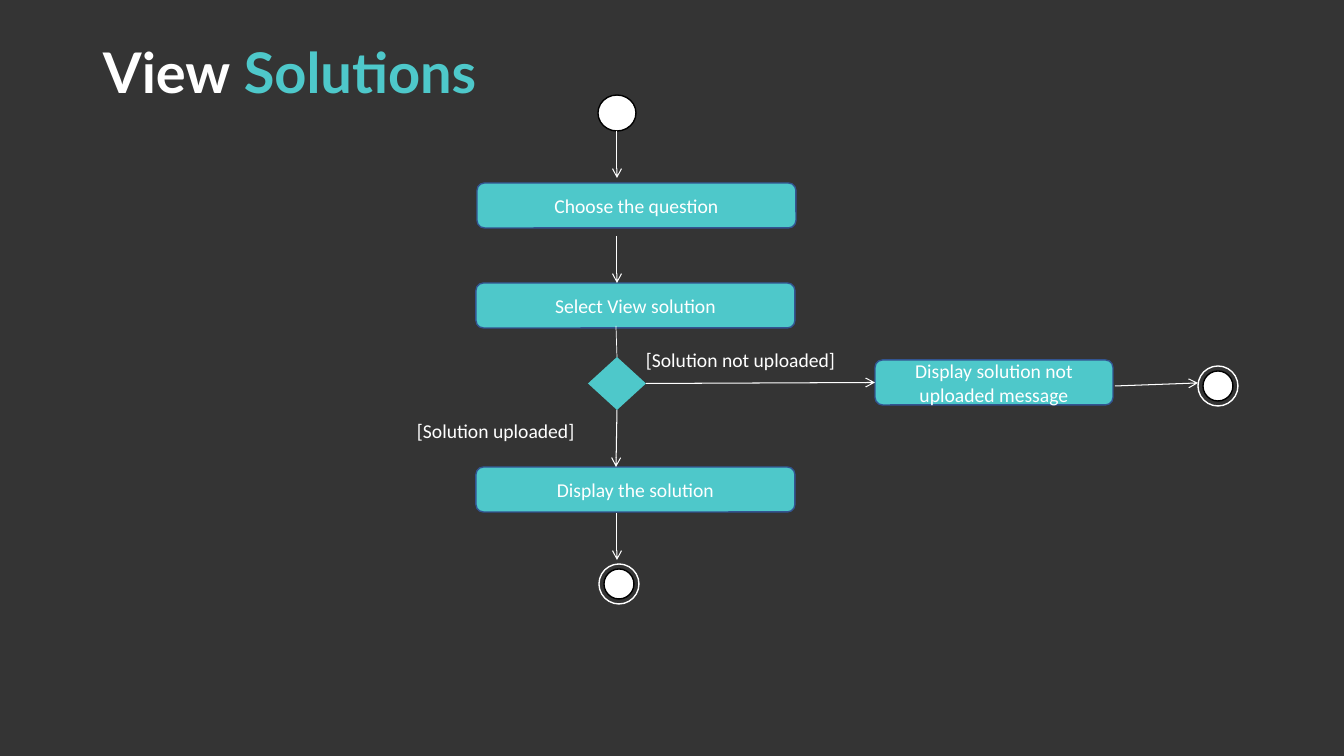
from lxml import etree
from pptx import Presentation
from pptx.dml.color import RGBColor
from pptx.enum.shapes import MSO_CONNECTOR, MSO_SHAPE as Preset
from pptx.enum.text import MSO_ANCHOR, MSO_AUTO_SIZE, PP_ALIGN
from pptx.oxml.ns import qn
from pptx.util import Pt

EMU_PER_PX = 914400 / 100.8
DARK, TEAL, WHITE, BLACK, NAVY = "343434", "4EC8CA", "FFFFFF", "000000", "325491"
TOP, BOTTOM, LEFT, RIGHT = 0, 2, 1, 3  # connection sites
FLOW_X = 617
STEP_W, STEP_H = 319, 45


def px(*lengths):
    return [round(length * EMU_PER_PX) for length in lengths]


def color(hex_code):
    return RGBColor.from_string(hex_code)


def style_font(font, size, hex_code, name="Calibri", bold=False):
    font.size, font.name, font.bold = Pt(size), name, bold
    font.color.rgb = color(hex_code)


def add_node(shapes, preset, box, fill, outline=None):
    node = shapes.add_shape(preset, *px(*box))
    node.shadow.inherit = False
    node.fill.solid()
    node.fill.fore_color.rgb = color(fill)
    if outline:
        node.line.color.rgb = color(outline)
        node.line.width = Pt(1)
    else:
        node.line.fill.background()
    return node


def add_step(shapes, text, left, top, width=STEP_W):
    step = add_node(shapes, Preset.ROUNDED_RECTANGLE, (left, top, width, STEP_H), TEAL, NAVY)
    frame = step.text_frame
    frame.word_wrap = True
    frame.vertical_anchor = MSO_ANCHOR.MIDDLE
    paragraph = frame.paragraphs[0]
    paragraph.text = text
    paragraph.alignment = PP_ALIGN.CENTER
    style_font(paragraph.font, 14, WHITE)
    return step


def add_end(shapes, left, top):
    end = shapes.add_group_shape()
    add_node(end.shapes, Preset.OVAL, (left, top, 40, 40), DARK, WHITE)
    add_node(end.shapes, Preset.OVAL, (left + 5, top + 5, 30, 30), WHITE, BLACK)


def add_flow(shapes, start, finish, width=0.75, arrow=True):
    """Each end is an (x, y) point or a (shape, site) pair."""
    flow = shapes.add_connector(MSO_CONNECTOR.STRAIGHT, 0, 0, 0, 0)
    if isinstance(start[0], int):
        flow.begin_x, flow.begin_y = px(*start)
    else:
        flow.begin_connect(*start)
    if isinstance(finish[0], int):
        flow.end_x, flow.end_y = px(*finish)
    else:
        flow.end_connect(*finish)
    flow.line.color.rgb = color(WHITE)
    flow.line.width = Pt(width)
    if arrow:
        etree.SubElement(flow.line._get_or_add_ln(), qn("a:tailEnd"), type="arrow")
    etree.SubElement(flow._element.spPr, qn("a:effectLst"))


def add_guard(shapes, text, left, top):
    guard = shapes.add_textbox(*px(left, top, 269, 34))
    frame = guard.text_frame
    frame.word_wrap = True
    frame.auto_size = MSO_AUTO_SIZE.SHAPE_TO_FIT_TEXT
    paragraph = frame.paragraphs[0]
    paragraph.text = text
    style_font(paragraph.font, 14, WHITE)


def add_title(shapes, *parts):
    title = shapes.add_textbox(*px(93, 40, 702, 146))
    title.text_frame.word_wrap = True
    paragraph = title.text_frame.paragraphs[0]
    paragraph.line_spacing = 0.9
    for text, hex_code in parts:
        run = paragraph.add_run()
        run.text = text
        style_font(run.font, 40, hex_code, "Lato", True)


def main():
    deck = Presentation()
    deck.slide_width, deck.slide_height = px(1344, 756)
    slide = deck.slides.add_slide(deck.slide_layouts[6])
    slide.background.fill.solid()
    slide.background.fill.fore_color.rgb = color(DARK)
    shapes = slide.shapes

    add_title(shapes, ("View", WHITE), (" Solutions", TEAL))

    # Start, steps and decision
    add_node(shapes, Preset.FLOWCHART_CONNECTOR, (598, 95, 38, 36), WHITE, BLACK)
    add_step(shapes, "Choose the question", 477, 183)
    add_step(shapes, "Select View solution", 476, 283)
    add_step(shapes, "Display the solution", 476, 467)
    not_uploaded = add_step(shapes, "Display solution not uploaded message", 875, 360, 238)
    decision = add_node(shapes, Preset.DIAMOND, (588, 357, 58, 53), TEAL)

    # Flow between the steps
    for top in (131, 236, 513):
        add_flow(shapes, (FLOW_X, top), (FLOW_X, top + 47))
    add_flow(shapes, (decision, TOP), (616, 326), width=0.5, arrow=False)
    add_flow(shapes, (decision, BOTTOM), (616, 467))
    add_flow(shapes, (decision, RIGHT), (not_uploaded, LEFT))
    add_flow(shapes, (1115, 386), (1198, 383))

    # Conditions on the two branches
    add_guard(shapes, "[Solution not uploaded]", 636, 343)
    add_guard(shapes, "[Solution uploaded]", 407, 414)

    # Ends of the two branches
    add_end(shapes, 1198, 366)
    add_end(shapes, 599, 564)

    deck.save("out.pptx")


if __name__ == "__main__":
    main()
